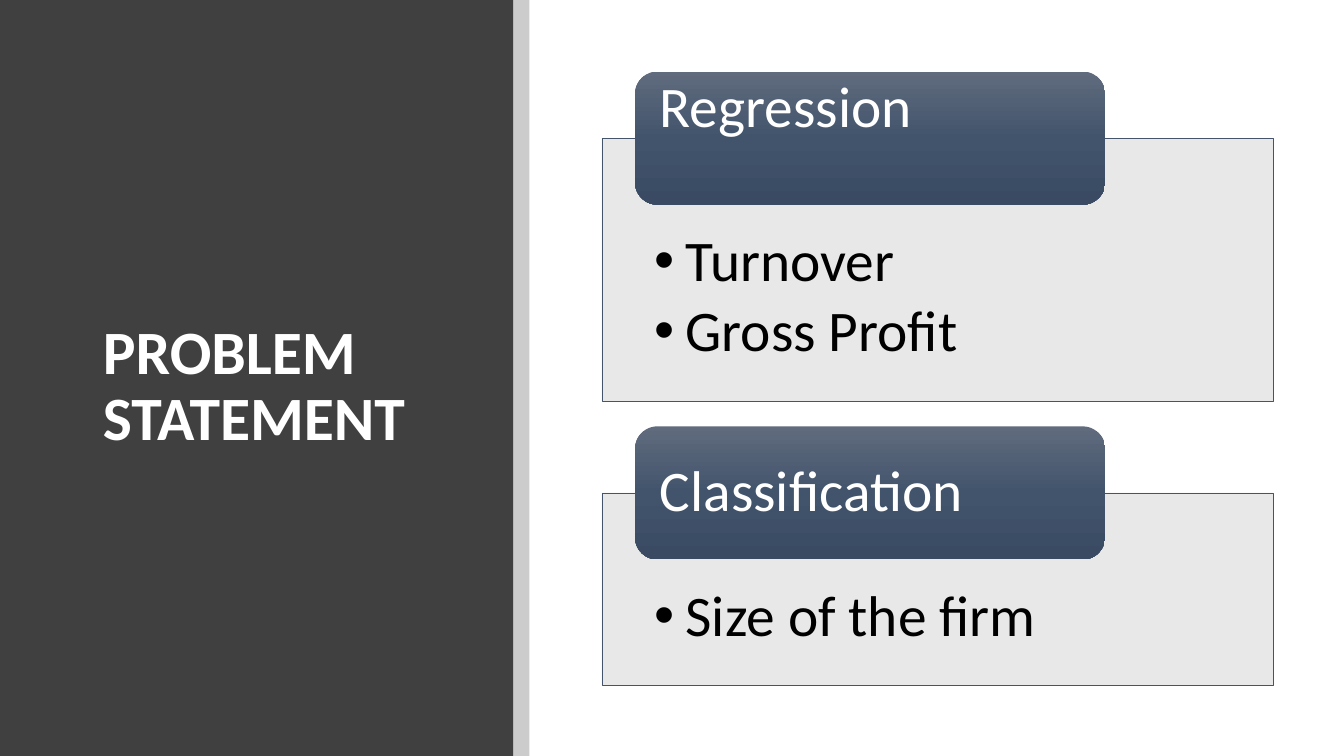
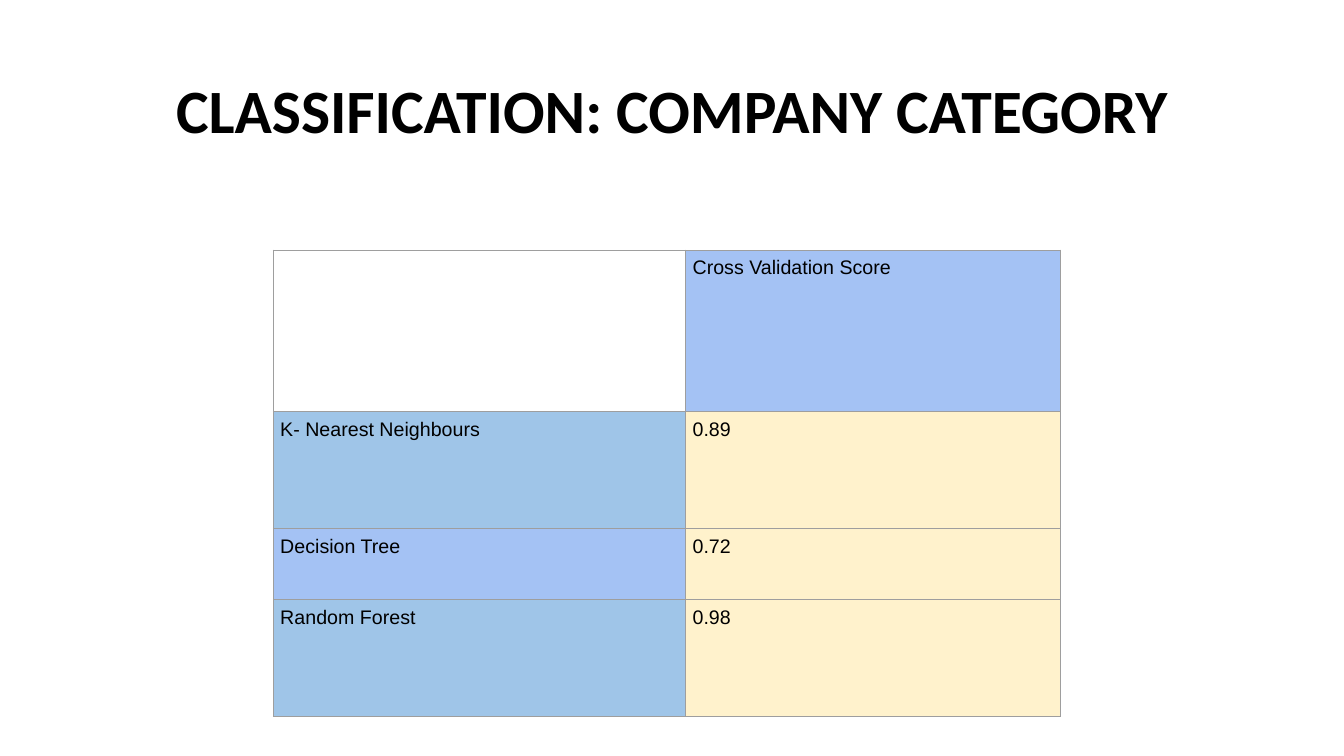
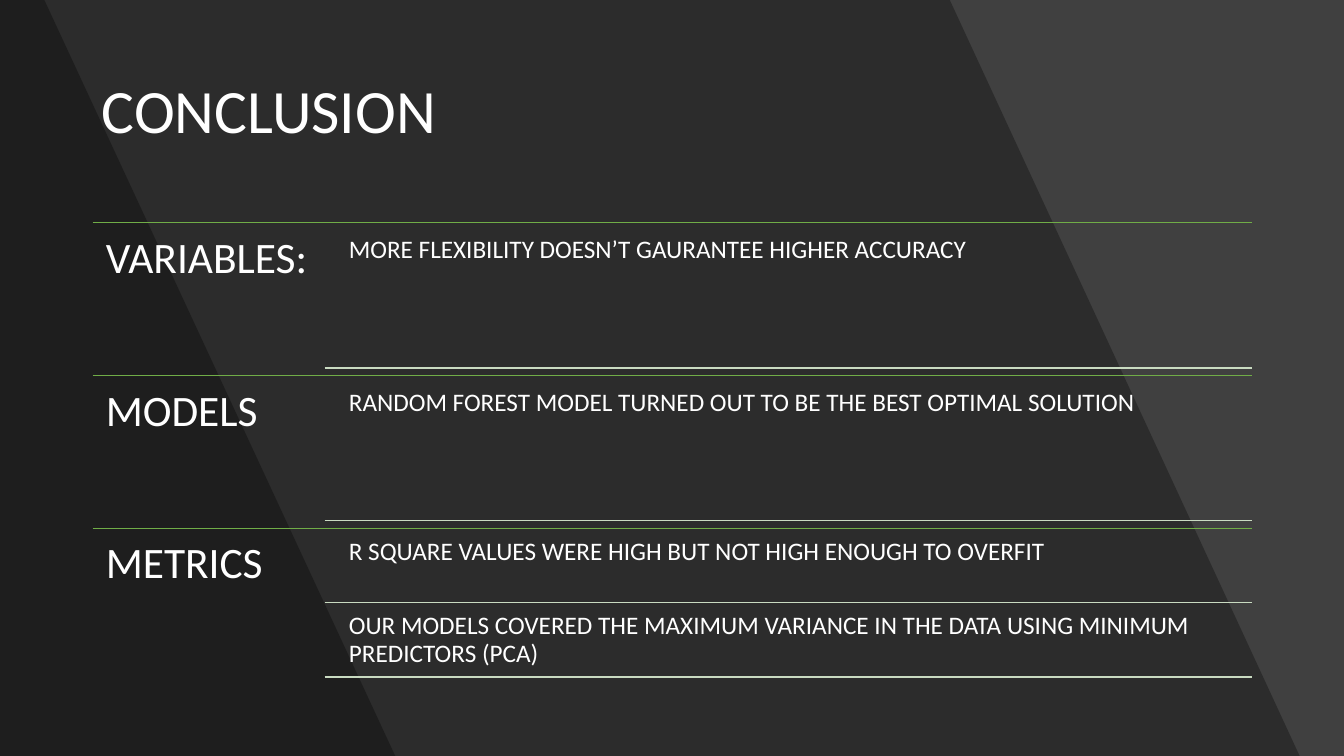
"""Build three slides on the problem, the classification scores and the conclusion."""
from dataclasses import dataclass
from typing import Any

from lxml.etree import SubElement
from pptx import Presentation
from pptx.dml.color import RGBColor
from pptx.enum.shapes import MSO_CONNECTOR, MSO_SHAPE
from pptx.enum.text import MSO_ANCHOR, MSO_AUTO_SIZE, PP_ALIGN
from pptx.oxml.ns import qn
from pptx.util import Inches, Pt

HUES = {
    "white": "FFFFFF", "black": "000000", "dark": "404040",
    "panel": "E7E6E6", "edge": "44546A", "green": "70AD47", "pale": "C9DBC1",
    "blue": "A4C2F4", "sky": "9FC5E8", "cream": "FFF2CC", "grid": "9E9E9E",
}
SHADE = [(0, "606B7D"), (50, "42546C"), (100, "394A62")]
TITLE = {"name": "Calibri", "size": Pt(44), "bold": True}
PLAIN = TITLE | {"bold": False}
CARD = {"name": "Calibri", "size": Pt(41)}
LABEL = {"name": "Calibri", "size": Pt(31)}
NOTE = {"name": "Calibri", "size": Pt(18)}
CELL = {"name": "Arial", "size": Pt(14)}
PARA = {"line_spacing": 0.9, "space_before": Pt(0), "alignment": PP_ALIGN.LEFT}
SIDES = ("margin_left", "margin_top", "margin_right", "margin_bottom")


@dataclass
class Card:
    """A headed panel with a list."""
    head: str
    items: list[str]
    top: float
    high: float
    anchor: MSO_ANCHOR


@dataclass
class Topic:
    """A label with its notes."""
    label: str
    notes: list[str]


CARDS = [
    Card("Regression", ["Turnover", "Gross Profit"], 1.37, 2.61, MSO_ANCHOR.TOP),
    Card("Classification", ["Size of the firm"], 4.89, 1.91, MSO_ANCHOR.MIDDLE),
]
SCORES = [
    ("", "Cross Validation Score", 1.6),
    ("K- Nearest Neighbours", "0.89", 1.16),
    ("Decision Tree", "0.72", 0.71),
    ("Random Forest", "0.98", 1.16),
]
TOPICS = [
    Topic("VARIABLES:", ["MORE FLEXIBILITY DOESN’T GAURANTEE HIGHER ACCURACY"]),
    Topic("MODELS", ["RANDOM FOREST MODEL TURNED OUT TO BE THE BEST OPTIMAL SOLUTION"]),
    Topic("METRICS", [
        "R SQUARE VALUES WERE HIGH BUT NOT HIGH ENOUGH TO OVERFIT",
        "OUR MODELS COVERED THE MAXIMUM VARIANCE IN THE DATA USING MINIMUM PREDICTORS (PCA)",
    ]),
]


def apply(item: Any, form: dict) -> None:
    """Set each attribute in the format."""
    for key, value in form.items():
        setattr(item, key, value)


def place(item: Any, left: float, top: float, wide: float, high: float) -> None:
    """Move and size a shape."""
    apply(item, {"left": Inches(left), "top": Inches(top),
                 "width": Inches(wide), "height": Inches(high)})


def tint(color: Any, hue: str) -> None:
    """Set a named colour."""
    color.rgb = RGBColor.from_string(HUES[hue])


def paint(item: Any, hue: str, alpha: int = 100) -> None:
    """Fill a shape, clear in part if asked."""
    item.fill.solid()
    tint(item.fill.fore_color, hue)
    if alpha < 100:
        color = next(item.element.iter(qn("a:srgbClr")))
        SubElement(color, qn("a:alpha"), val=str(alpha * 1000))


def bare(shape: Any) -> None:
    """Drop the shadow and outline."""
    shape.shadow.inherit = False
    shape.line.fill.background()


def write(frame: Any, lines: list[str], font: dict, hue: str,
          pad: tuple = (0.1, 0.05, 0.1, 0.05), anchor: MSO_ANCHOR = MSO_ANCHOR.TOP,
          para: dict = PARA) -> None:
    """Fill a text frame with styled paragraphs."""
    apply(frame, {"word_wrap": True, "auto_size": MSO_AUTO_SIZE.NONE,
                  "vertical_anchor": anchor})
    apply(frame, dict(zip(SIDES, map(Inches, pad))))
    frame.text = "\n".join(lines)
    for part in frame.paragraphs:
        apply(part, para)
        for run in part.runs:
            apply(run.font, font)
            tint(run.font.color, hue)


def name(slide: Any, text: str, box: tuple, font: dict, hue: str,
         align: PP_ALIGN = PP_ALIGN.LEFT) -> None:
    """Write the slide title."""
    title = slide.shapes.title
    place(title, *box)
    write(title.text_frame, [text], font, hue, anchor=MSO_ANCHOR.MIDDLE,
          para=PARA | {"alignment": align})


def rule(slide: Any, left: float, top: float, hue: str, width: float) -> None:
    """Draw a level line to the right margin."""
    line = slide.shapes.add_connector(
        MSO_CONNECTOR.STRAIGHT, Inches(left), Inches(top), Inches(12.42), Inches(top))
    tint(line.line.color, hue)
    line.line.width = Pt(width)
    SubElement(line.element.spPr, qn("a:effectLst"))


def label(slide: Any, text: str, box: tuple, font: dict, pad: float) -> None:
    """Add a white text box."""
    area = slide.shapes.add_textbox(*map(Inches, box))
    write(area.text_frame, [text], font, "white", (pad,) * 4)


def draw_card(slide: Any, card: Card, body: Any) -> None:
    """Draw a list panel and its header."""
    place(body, 5.97, card.top, 6.66, card.high)
    paint(body, "panel", 90)
    tint(body.line.color, "edge")
    body.line.width = Pt(0.5)
    write(body.text_frame, card.items, CARD, "black", (0.52, 0.93, 0.52, 0.32),
          para=PARA | {"space_after": Pt(6)})
    for part in body.text_frame.paragraphs:
        props = part._p.get_or_add_pPr()
        props.set("marL", str(Inches(0.31)))
        props.set("indent", str(-Inches(0.31)))
    head = slide.shapes.add_shape(
        MSO_SHAPE.ROUNDED_RECTANGLE, *map(Inches, (6.3, card.top - 0.66, 4.66, 1.32)))
    bare(head)
    head.fill.gradient()
    head.fill.gradient_angle = 270
    stops = next(head.element.iter(qn("a:gsLst")))
    stops[:] = []
    for spot, color in SHADE:
        stop = SubElement(stops, qn("a:gs"), pos=str(spot * 1000))
        SubElement(stop, qn("a:srgbClr"), val=color)
    write(head.text_frame, [card.head], CARD, "white", (0.18, 0, 0.18, 0), card.anchor)


def problem(deck: Any) -> None:
    """Build the problem slide."""
    slide = deck.slides.add_slide(deck.slide_layouts[3])
    for left, wide, hue, alpha in [(0, 5.09, "dark", 100), (5.09, 0.16, "black", 20)]:
        band = slide.shapes.add_shape(
            MSO_SHAPE.RECTANGLE, *map(Inches, (left, 0, wide, 7.5)))
        bare(band)
        paint(band, hue, alpha)
        slide.shapes.title.element.addprevious(band.element)
    name(slide, "PROBLEM STATEMENT", (0.92, 0.89, 3.65, 5.91), TITLE, "white")
    for spot, card in enumerate(CARDS, 1):
        draw_card(slide, card, slide.placeholders[spot])


def edge(cell: Any) -> None:
    """Give a cell thin grey borders."""
    props = cell._tc.get_or_add_tcPr()
    for side in "LRTB":
        line = SubElement(props, qn(f"a:ln{side}"), w=str(Pt(0.5)))
        fill = SubElement(line, qn("a:solidFill"))
        SubElement(fill, qn("a:srgbClr"), val=HUES["grid"])


def scores(deck: Any) -> None:
    """Build the score slide."""
    slide = deck.slides.add_slide(deck.slide_layouts[5])
    name(slide, "CLASSIFICATION: COMPANY CATEGORY", (0.92, 0.4, 11.5, 1.45),
         TITLE, "black", PP_ALIGN.CENTER)
    table = slide.shapes.add_table(
        len(SCORES), 2, *map(Inches, (2.71, 2.48, 7.81, 4.63))).table
    apply(table, {"first_row": False, "horz_banding": False})
    for col, wide in zip(table.columns, (4.09, 3.72)):
        col.width = Inches(wide)
    for row, (*texts, high) in enumerate(SCORES):
        table.rows[row].height = Inches(high)
        hues = ("sky" if row % 2 else "blue", "cream" if row else "blue")
        for col, (text, hue) in enumerate(zip(texts, hues)):
            cell = table.cell(row, col)
            edge(cell)
            apply(cell, dict.fromkeys(SIDES, Inches(0.07)))
            if not text:
                cell.fill.background()
                continue
            cell.fill.solid()
            tint(cell.fill.fore_color, hue)
            cell.text = text
            font = cell.text_frame.paragraphs[0].runs[0].font
            apply(font, CELL)
            tint(font.color, "black")


def draw_topic(slide: Any, topic: Topic, top: float) -> None:
    """Draw a label with its ruled notes."""
    rule(slide, 0.92, top, "green", 0.5)
    label(slide, topic.label, (0.92, top, 2.3, 1.51), LABEL, 0.13)
    count = len(topic.notes)
    high = 1.51 / (1.05 * count + 0.05)
    gap = 0.05 * high
    for spot, note in enumerate(topic.notes):
        start = top + gap + spot * (high + gap)
        label(slide, note, (3.39, start, 9.03, high), NOTE, 0.07)
        rule(slide, 3.22, start + high, "pale", 1)


def close(deck: Any) -> None:
    """Build the conclusion slide."""
    slide = deck.slides.add_slide(deck.slide_layouts[5])
    paint_back = slide.background.fill
    paint_back.solid()
    tint(paint_back.fore_color, "dark")
    for upper, lower in [(9.42, 12.89), (0.44, 3.92)]:
        path = slide.shapes.build_freeform(0, 0)
        path.add_line_segments([
            (Inches(upper), 0), (Inches(lower), Inches(7.5)), (0, Inches(7.5))])
        slope = path.convert_to_shape()
        bare(slope)
        paint(slope, "black", 30)
        slide.shapes.title.element.addprevious(slope.element)
    name(slide, "CONCLUSION", (0.91, 0.4, 11.51, 1.45), PLAIN, "white")
    for row, topic in enumerate(TOPICS):
        draw_topic(slide, topic, 2.21 + row * 1.515)


def main() -> None:
    """Build and save the deck."""
    deck = Presentation()
    apply(deck, {"slide_width": Inches(13.33), "slide_height": Inches(7.5)})
    for build in (problem, scores, close):
        build(deck)
    deck.save("out.pptx")


if __name__ == "__main__":
    main()
